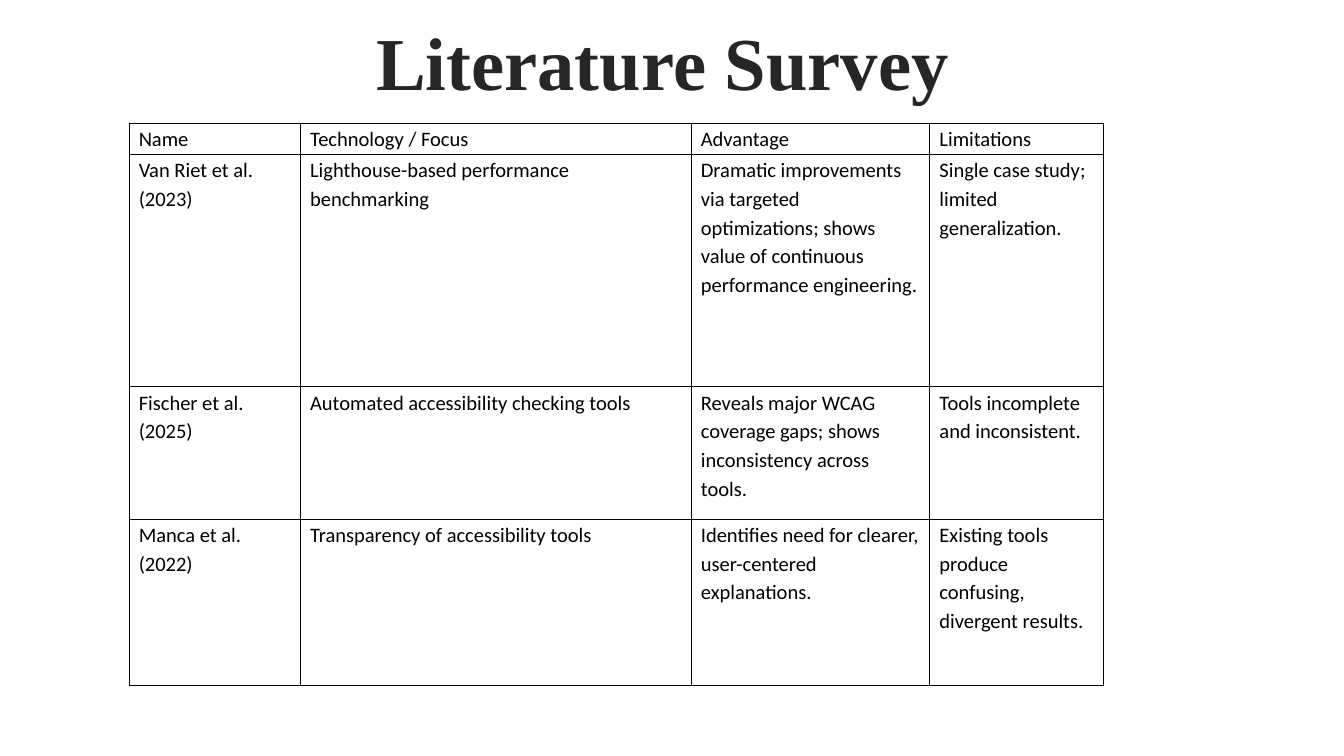
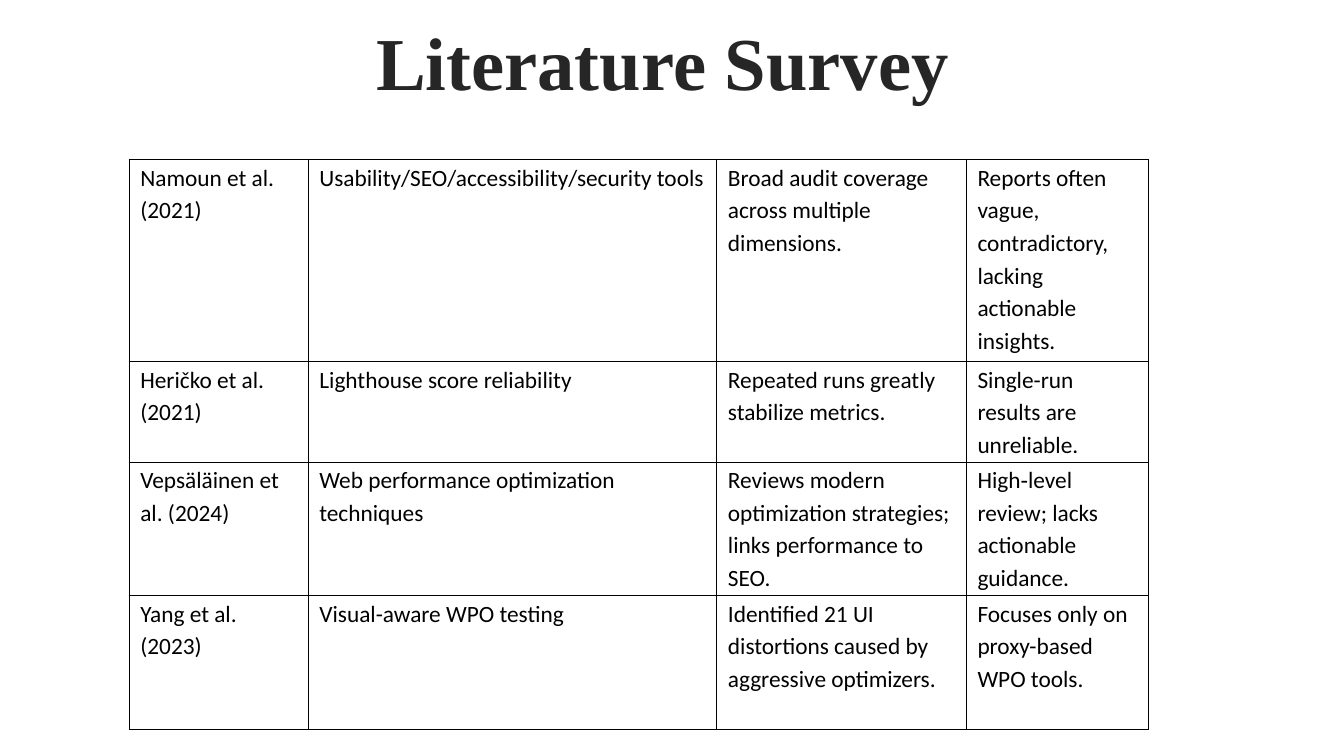
import dataclasses
import typing

import lxml.etree
import pptx
import pptx.dml.color
import pptx.enum.text
import pptx.oxml.ns
import pptx.presentation
import pptx.table
import pptx.text.text
import pptx.util

Pt = pptx.util.Pt

COLOURS = {"title": "262626", "body": "000000", "border": "000000", "page": "FFFFFF"}
TITLE_FONT = "Times New Roman"
BODY_FONT = "Calibri"
TITLE_ONLY_LAYOUT = 5
TABLE_LEFT = 138.2
BORDER_WIDTH = 1


@dataclasses.dataclass(frozen=True)
class Survey:
    top: float
    size: float
    inset: float
    column_widths: tuple[float, ...]
    row_heights: tuple[float, ...]
    entries: tuple[tuple[str, ...], ...]


SURVEYS = (
    Survey(
        top=131.8,
        size=22,
        inset=10.5,
        column_widths=(183.6, 418.7, 255.6, 186.5),
        row_heights=(33.6, 249.1, 141.8, 177.8),
        entries=(
            ("Name", "Technology / Focus", "Advantage", "Limitations"),
            (
                "Van Riet et al. (2023)",
                "Lighthouse-based performance benchmarking",
                "Dramatic improvements via targeted optimizations; "
                "shows value of continuous performance engineering.",
                "Single case study; limited generalization.",
            ),
            (
                "Fischer et al. (2025)",
                "Automated accessibility checking tools",
                "Reveals major WCAG coverage gaps; shows inconsistency across tools.",
                "Tools incomplete and inconsistent.",
            ),
            (
                "Manca et al. (2022)",
                "Transparency of accessibility tools",
                "Identifies need for clearer, user-centered explanations.",
                "Existing tools produce confusing, divergent results.",
            ),
        ),
    ),
    Survey(
        top=171,
        size=25,
        inset=12.2,
        column_widths=(191.8, 437.8, 267.4, 195.1),
        row_heights=(216.7, 107.3, 143.3, 143.3),
        entries=(
            (
                "Namoun et al. (2021)",
                "Usability/SEO/accessibility/security tools",
                "Broad audit coverage across multiple dimensions.",
                "Reports often vague, contradictory, lacking actionable insights.",
            ),
            (
                "Heričko et al. (2021)",
                "Lighthouse score reliability",
                "Repeated runs greatly stabilize metrics.",
                "Single-run results are unreliable.",
            ),
            (
                "Vepsäläinen et al. (2024)",
                "Web performance optimization techniques",
                "Reviews modern optimization strategies; links performance to SEO.",
                "High‑level review; lacks actionable guidance.",
            ),
            (
                "Yang et al. (2023)",
                "Visual-aware WPO testing",
                "Identified 21 UI distortions caused by aggressive optimizers.",
                "Focuses only on proxy-based WPO tools.",
            ),
        ),
    ),
)


def write_text(
    frame: pptx.text.text.TextFrame,
    text: str,
    *,
    font: str,
    size: float,
    colour: str,
    bold: bool = False,
    align: typing.Any = pptx.enum.text.PP_ALIGN.LEFT,
    line_spacing: float = 1.0,
    space_after: float = 0,
) -> None:
    frame.text = text
    paragraph = frame.paragraphs[0]
    paragraph.alignment = align
    paragraph.line_spacing = line_spacing
    paragraph.space_before = Pt(0)
    paragraph.space_after = Pt(space_after)
    letters = paragraph.runs[0].font
    letters.name = font
    letters.size = Pt(size)
    letters.bold = bold
    letters.color.rgb = pptx.dml.color.RGBColor.from_string(COLOURS[colour])


def draw_borders(cell: pptx.table._Cell) -> None:
    qn = pptx.oxml.ns.qn
    properties = cell._tc.get_or_add_tcPr()
    for side in ("a:lnL", "a:lnR", "a:lnT", "a:lnB"):
        border = lxml.etree.SubElement(properties, qn(side), w=str(Pt(BORDER_WIDTH)))
        fill = lxml.etree.SubElement(border, qn("a:solidFill"))
        lxml.etree.SubElement(fill, qn("a:srgbClr"), val=COLOURS["border"])


def add_title(slide: typing.Any) -> None:
    title = slide.shapes.title
    title.left, title.top = Pt(30.2), Pt(15.8)
    title.width, title.height = Pt(1360), Pt(98)
    frame = title.text_frame
    frame.margin_left = frame.margin_right = frame.margin_bottom = 0
    frame.margin_top = Pt(1.7)
    frame.word_wrap = True
    frame.auto_size = pptx.enum.text.MSO_AUTO_SIZE.SHAPE_TO_FIT_TEXT
    frame.vertical_anchor = pptx.enum.text.MSO_ANCHOR.TOP
    write_text(
        frame,
        "Literature Survey",
        font=TITLE_FONT,
        size=80,
        colour="title",
        bold=True,
        align=pptx.enum.text.PP_ALIGN.CENTER,
    )


def add_survey_table(slide: typing.Any, survey: Survey) -> None:
    table = slide.shapes.add_table(
        len(survey.row_heights),
        len(survey.column_widths),
        Pt(TABLE_LEFT),
        Pt(survey.top),
        Pt(sum(survey.column_widths)),
        Pt(sum(survey.row_heights)),
    ).table
    table.first_row = table.horz_banding = False
    for column, width in zip(table.columns, survey.column_widths):
        column.width = Pt(width)
    for row, height, entry in zip(table.rows, survey.row_heights, survey.entries):
        row.height = Pt(height)
        for cell, text in zip(row.cells, entry):
            cell.margin_left = cell.margin_right = Pt(survey.inset)
            cell.margin_top = cell.margin_bottom = 0
            draw_borders(cell)
            cell.fill.background()
            write_text(
                cell.text_frame,
                text,
                font=BODY_FONT,
                size=survey.size,
                colour="body",
                line_spacing=1.15,
                space_after=10,
            )


def add_survey_slide(deck: pptx.presentation.Presentation, survey: Survey) -> None:
    slide = deck.slides.add_slide(deck.slide_layouts[TITLE_ONLY_LAYOUT])
    page = slide.background.fill
    page.solid()
    page.fore_color.rgb = pptx.dml.color.RGBColor.from_string(COLOURS["page"])
    add_title(slide)
    add_survey_table(slide, survey)


def main() -> None:
    deck = pptx.Presentation()
    deck.slide_width, deck.slide_height = Pt(1440), Pt(810)
    for survey in SURVEYS:
        add_survey_slide(deck, survey)
    deck.save("out.pptx")


if __name__ == "__main__":
    main()
